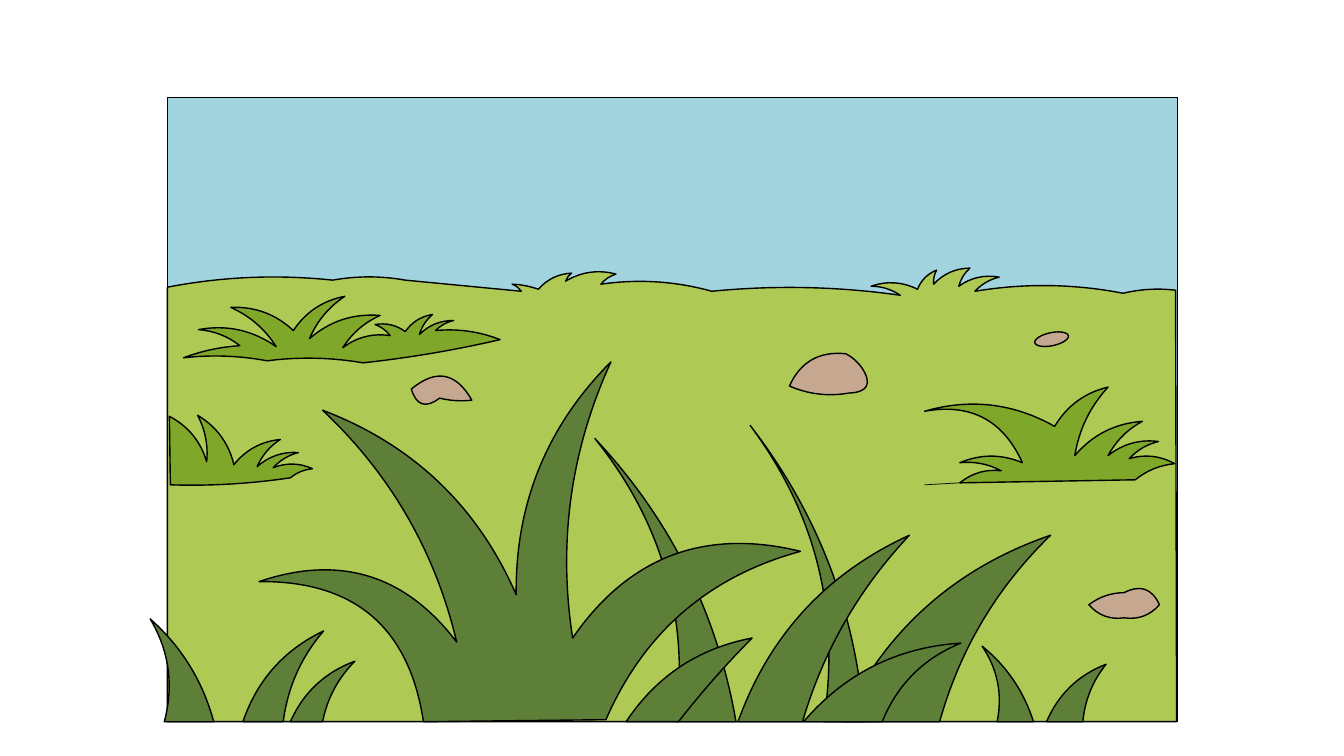
from lxml import etree
from pptx import Presentation
from pptx.dml.color import RGBColor
from pptx.enum.shapes import MSO_CONNECTOR, MSO_SHAPE
from pptx.oxml.ns import qn
from pptx.util import Inches, Pt

RECT, OVAL, STRAIGHT = MSO_SHAPE.RECTANGLE, MSO_SHAPE.OVAL, MSO_CONNECTOR.STRAIGHT
THEME = {"sky": "A2D4DF", "meadow": "AECA54", "grass": "5D7F37", "bush": "7FA72A",
         "stone": "C6A78F", "ink": "000000", "line": 1, "thin": 0.5}
INK = RGBColor.from_string(THEME["ink"])

# Edges of the scene, in inches
LEFT, TOP, RIGHT, FLOOR = 1.66, 0.97, 11.68, 7.16
# Bend of an edge as a share of its length, positive to the left of travel.
# Clockwise around a leaf, its upper edge heads right and arches;
# its lower edge heads left and is hollow.
ARCH, HOLLOW, FLAT = 0.14, -0.10, 0
STEPS = 24  # samples per edge when measuring an outline

prs = Presentation()
prs.slide_width, prs.slide_height = Inches(13.33), Inches(7.5)
s = prs.slides.add_slide(prs.slide_layouts[6])


def paint(shape, colour):
    shape.shadow.inherit = False
    shape.fill.solid()
    shape.fill.fore_color.rgb = RGBColor.from_string(THEME[colour])
    shape.line.color.rgb = INK
    shape.line.width = Pt(THEME["line"])
    return shape


def outline(colour, corners):
    """Closed shape through corners (x, y) or (x, y, bend of the edge that ends there)."""
    edges, samples = [], []
    for (x0, y0, *_), (x, y, *bend) in zip(corners, corners[1:]):
        dx, dy = x - x0, y - y0
        b = bend[0] if bend else ARCH if dx > 0 else HOLLOW
        # Handles stand at each third of the edge, pushed sideways by the bend
        h1, h2 = [(x0 + k * dx + b * dy, y0 + k * dy - b * dx) for k in (1 / 3, 2 / 3)]
        edges.append((h1, h2, (x, y)))
        for t in (n / STEPS for n in range(1, STEPS + 1)):
            side = 3 * t * (1 - t) * b
            samples.append((Inches(x0 + t * dx + side * dy), Inches(y0 + t * dy - side * dx)))
    x0, y0 = corners[0][:2]
    builder = s.shapes.build_freeform(Inches(x0), Inches(y0), scale=1.0)
    builder.add_line_segments(samples, close=True)
    shape = paint(builder.convert_to_shape(), colour)
    # One true curve per edge replaces its samples
    geometry = next(shape._element.iter(qn("a:path")))
    for segment in list(geometry)[1:-1]:
        geometry.remove(segment)
    for i, edge in enumerate(edges, 1):
        curve = etree.Element(qn("a:cubicBezTo"))
        for x, y in edge:
            etree.SubElement(curve, qn("a:pt"), x=str(Inches(x) - shape.left),
                             y=str(Inches(y) - shape.top))
        geometry.insert(i, curve)


# Sky
paint(s.shapes.add_shape(RECT, Inches(LEFT), Inches(TOP), Inches(RIGHT - LEFT),
                         Inches(FLOOR - TOP)), "sky")

# Meadow: gentle hills with two tufts on the horizon
hills_left = [(LEFT, 2.85), (3.3, 2.78, 0.05), (4.02, 2.78, 0.06), (5.17, 2.89, FLAT)]
small_tuft = [(5.08, 2.82), (5.34, 2.87, 0.05), (5.67, 2.71), (5.61, 2.79), (6.11, 2.72),
              (5.96, 2.82)]
hills_middle = [(7.06, 2.89, 0.07), (8.93, 2.93, 0.04)]
large_tuft = [(8.64, 2.84), (9.1, 2.87), (9.29, 2.68), (9.26, 2.82), (9.62, 2.66),
              (9.51, 2.84), (9.91, 2.75), (9.67, 2.89)]
hills_right = [(11.14, 2.91, 0.06), (11.66, 2.88, 0.06)]
ground_corners = [(11.67, FLOOR, FLAT), (LEFT, FLOOR, FLAT)]
outline("meadow", hills_left + small_tuft + hills_middle + large_tuft + hills_right
        + ground_corners)

# Blades in the back: first foot x, tip x, tip y, second foot x
back_blades = [(10.38, 10.97, 6.59, 10.74), (10.25, 9.74, 6.41, 9.89),
               (8.57, 7.44, 4.22, 8.17), (7.3, 5.9, 4.35, 6.71),
               (2.88, 3.52, 6.56, 3.2), (2.41, 3.21, 6.26, 2.81), (2.12, 1.49, 6.14, 1.63)]
for foot, tip_x, tip_y, other_foot in back_blades:
    outline("grass", [(foot, FLOOR), (tip_x, tip_y), (other_foot, FLOOR)])

# Bushes on the left: tips and notches clockwise, then the underside
edge_bush = [(1.69, 4.81), (1.68, 4.13, FLAT), (2.05, 4.58), (1.96, 4.12), (2.32, 4.61),
             (2.78, 4.36), (2.55, 4.63), (2.96, 4.49), (2.71, 4.64), (3.1, 4.65),
             (2.88, 4.74), (1.69, 4.81, 0.03)]
wide_bush = [(1.82, 3.55), (2.38, 3.43, 0.05), (1.97, 3.27), (2.74, 3.44), (2.29, 3.05),
             (2.91, 3.28), (3.42, 2.94), (3.07, 3.36), (3.77, 3.13), (3.4, 3.45),
             (3.87, 3.33), (3.72, 3.22), (4.02, 3.29), (4.29, 3.12), (4.16, 3.32),
             (4.5, 3.18), (4.32, 3.28), (4.96, 3.37, 0.08), (3.6, 3.6, 0.02),
             (2.65, 3.58, -0.05), (1.82, 3.55, -0.05)]
for bush in (edge_bush, wide_bush):
    outline("bush", bush)

# Stones, bulging by their own bends
kidney = [(4.08, 3.86), (4.68, 3.97, 0.4), (4.36, 3.95, 0.06), (4.08, 3.86, 0.48)]
boulder = [(7.83, 3.83), (8.39, 3.51, 0.24), (8.55, 3.65, 0.08), (8.42, 3.9, 0.58),
           (7.83, 3.83, 0.1)]
flat_stone = [(10.8, 6), (11.15, 5.88, 0.11), (11.5, 6, 0.35), (11.15, 6.13, 0.18),
              (10.8, 6, 0.18)]
for stone in (kidney, boulder, flat_stone):
    outline("stone", stone)
pebble = s.shapes.add_shape(OVAL, Inches(10.26), Inches(3.3), Inches(0.34), Inches(0.13))
paint(pebble, "stone").rotation = 348.2

# Bush on the right with its ground line
right_bush = [(9.52, 4.79), (9.93, 4.67), (9.52, 4.59), (10.14, 4.59), (9.17, 4.08, -0.26),
              (10.46, 4.23), (10.99, 3.84), (10.66, 4.52), (11.33, 4.18), (10.99, 4.52),
              (11.49, 4.38), (11.2, 4.55), (11.65, 4.6), (11.26, 4.76)]
outline("bush", right_bush)
ground = s.shapes.add_connector(STRAIGHT, Inches(9.52), Inches(4.79), Inches(9.17), Inches(4.81))
ground.line.color.rgb = INK
ground.line.width = Pt(THEME["thin"])
etree.SubElement(ground._element.spPr, qn("a:effectLst"))

# Big tuft: four leaves with deeper bends
big_tuft = [(4.2, FLOOR), (2.57, 5.77, -0.29), (4.53, 6.37, 0.24), (3.2, 4.07),
            (5.12, 5.9), (6.06, 3.59), (5.68, 6.33), (7.94, 5.47, 0.23), (6.01, 7.14, -0.16)]
outline("grass", big_tuft)

# Blades in front: as in the back, with the hollow of the lower edge
front_blades = [(6.21, 7.46, 6.33, 6.73, -0.02), (7.32, 9.02, 5.31, 7.96, -0.08),
                (8.35, 10.42, 5.31, 9.32, -0.09), (7.97, 9.53, 6.38, 8.75, -0.14)]
for foot, tip_x, tip_y, other_foot, hollow in front_blades:
    outline("grass", [(foot, FLOOR), (tip_x, tip_y), (other_foot, FLOOR, hollow)])

prs.save("out.pptx")
